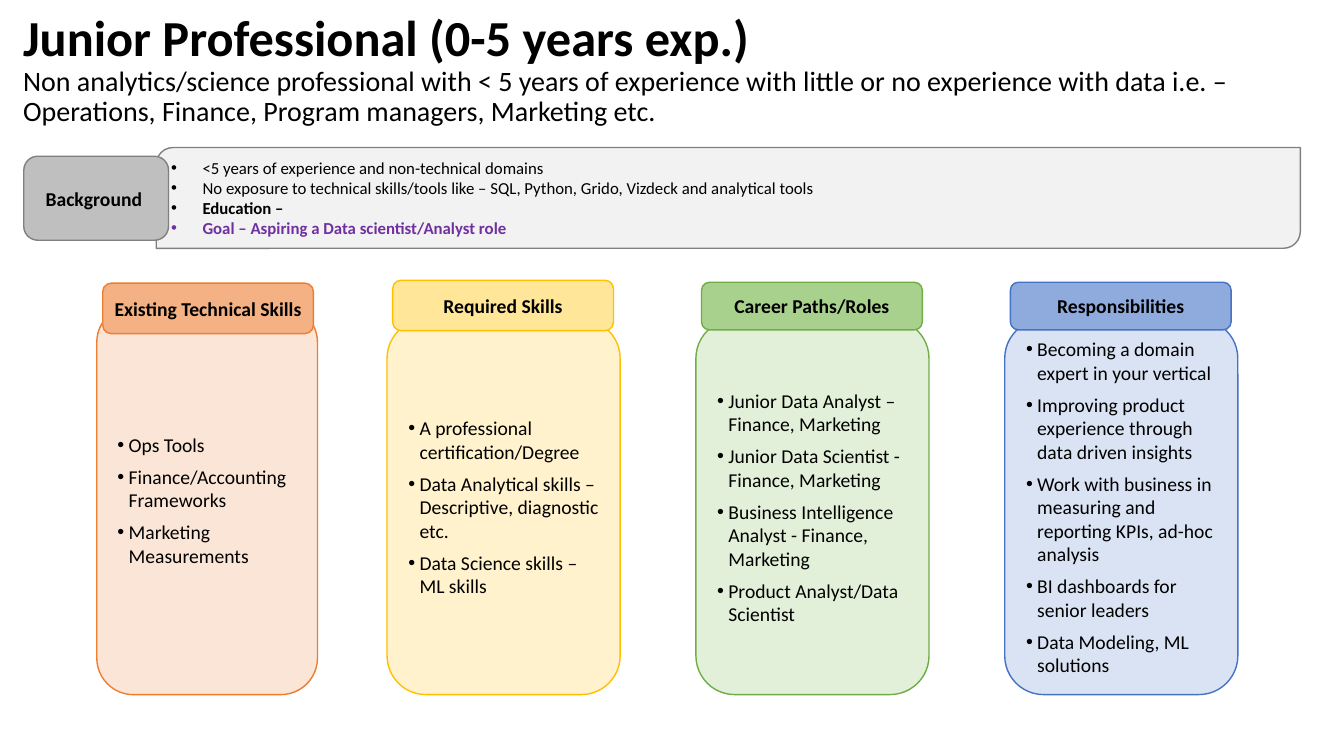
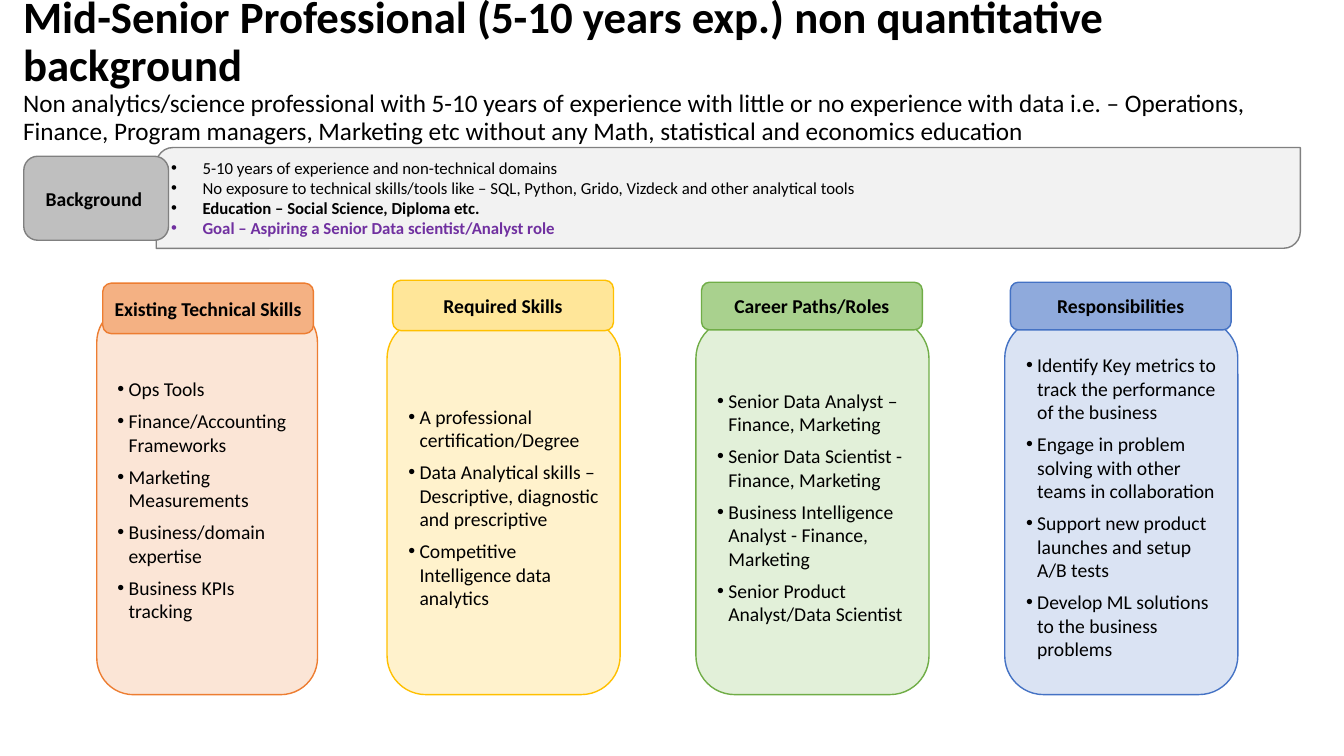
"""Build two career-profile slides: a background band above four skill columns."""
from dataclasses import dataclass
from typing import NamedTuple

from lxml import etree
from pptx import Presentation
from pptx.dml.color import RGBColor
from pptx.enum import shapes, text
from pptx.oxml.ns import qn
from pptx.util import Pt

FONT = "Calibri"
COLORS = {
    "text": "000000", "goal": "7030A0",
    "band": "F2F2F2", "badge": "BFBFBF", "gray": "808080",
    "orange_body": "FBE5D6", "orange_head": "F4B183", "orange": "ED7D31",
    "yellow_body": "FFF2CC", "yellow_head": "FFE699", "yellow": "FFC000",
    "green_body": "E2F0D9", "green_head": "A9D18E", "green": "70AD47",
    "blue_body": "DAE3F3", "blue_head": "8FAADC", "blue": "4472C4",
}


class Box(NamedTuple):
    left: float
    top: float
    width: float
    height: float


@dataclass(frozen=True)
class Column:
    heading: str
    color: str
    body: Box
    head: Box


@dataclass(frozen=True)
class Profile:
    title: str
    title_size: int
    summary: str
    summary_size: int
    background: list[str]
    columns: list[list[str]]


SLIDE_W, SLIDE_H = 960, 540
TITLE = Box(9.4, 8.6, 940.3, 82.8)
BAND = Box(111.6, 105.4, 817.2, 72)
BADGE = Box(17, 111.6, 103.4, 60)
BODY_LEFT, BODY_STEP = 276.5, 220.6


def wide_column(i: int, heading: str, color: str, head_top: float, head_h: float) -> Column:
    """Place the i-th of the equally spaced wide columns."""
    left = BODY_LEFT + i * BODY_STEP
    return Column(heading, color, Box(left, 228.2, 166.5, 268), Box(left + 4, head_top, 157.7, head_h))


COLUMNS = [
    Column("Existing Technical Skills", "orange",
           Box(69.1, 218.2, 157.7, 278), Box(73.4, 202.3, 150.5, 36)),
    wide_column(0, "Required Skills", "yellow", 200.2, 36),
    wide_column(1, "Career Paths/Roles", "green", 201.6, 34),
    wide_column(2, "Responsibilities", "blue", 201.6, 34),
]

PROFILES = [
    Profile(
        "Junior Professional (0-5 years exp.)", 36,
        "Non analytics/science professional with < 5 years of experience with little or no "
        "experience with data i.e. – Operations, Finance, Program managers, Marketing etc.", 20,
        ["<5 years of experience and non-technical domains",
         "No exposure to technical skills/tools like – SQL, Python, Grido, Vizdeck and analytical tools",
         "Education –",
         "Goal – Aspiring a Data scientist/Analyst role"],
        [["Ops Tools", "Finance/Accounting Frameworks", "Marketing Measurements"],
         ["A professional certification/Degree",
          "Data Analytical skills – Descriptive, diagnostic etc.",
          "Data Science skills – ML skills"],
         ["Junior Data Analyst – Finance, Marketing",
          "Junior Data Scientist - Finance, Marketing",
          "Business Intelligence Analyst - Finance, Marketing",
          "Product Analyst/Data Scientist"],
         ["Becoming a domain expert in your vertical",
          "Improving product experience through data driven insights",
          "Work with business in measuring and reporting KPIs, ad-hoc analysis",
          "BI dashboards for senior leaders",
          "Data Modeling, ML solutions"]],
    ),
    Profile(
        "Mid-Senior Professional (5-10 years exp.) non quantitative background", 32,
        "Non analytics/science professional with 5-10 years of experience with little or no "
        "experience with data i.e. – Operations, Finance, Program managers, Marketing etc "
        "without any Math, statistical and economics education", 18,
        ["5-10 years of experience and non-technical domains",
         "No exposure to technical skills/tools like – SQL, Python, Grido, Vizdeck and other analytical tools",
         "Education – Social Science, Diploma etc.",
         "Goal – Aspiring a Senior Data scientist/Analyst role"],
        [["Ops Tools", "Finance/Accounting Frameworks", "Marketing Measurements",
          "Business/domain expertise", "Business KPIs tracking"],
         ["A professional certification/Degree",
          "Data Analytical skills – Descriptive, diagnostic and prescriptive",
          "Competitive Intelligence data analytics"],
         ["Senior Data Analyst – Finance, Marketing",
          "Senior Data Scientist - Finance, Marketing",
          "Business Intelligence Analyst - Finance, Marketing",
          "Senior Product Analyst/Data Scientist"],
         ["Identify Key metrics to track the performance of the business",
          "Engage in problem solving with other teams in collaboration",
          "Support new product launches and setup A/B tests",
          "Develop ML solutions to the business problems"]],
    ),
]


def rgb(name: str) -> RGBColor:
    """Look up a named colour."""
    return RGBColor.from_string(COLORS[name])


def style_run(r, size: float, bold: bool = False, color: str = "text") -> None:
    """Set the font of a run."""
    r.font.name = FONT
    r.font.size = Pt(size)
    r.font.bold = bold
    r.font.color.rgb = rgb(color)


def add_box(slide, box: Box, fill: str, line: str,
            kind=shapes.MSO_SHAPE.ROUNDED_RECTANGLE):
    """Draw a filled, outlined shape with vertically centred text."""
    sp = slide.shapes.add_shape(kind, *map(Pt, box))
    sp.shadow.inherit = False
    sp.fill.solid()
    sp.fill.fore_color.rgb = rgb(fill)
    sp.line.color.rgb = rgb(line)
    sp.line.width = Pt(1)
    sp.text_frame.word_wrap = True
    sp.text_frame.vertical_anchor = text.MSO_ANCHOR.MIDDLE
    return sp


def add_label(slide, box: Box, label: str, fill: str, line: str) -> None:
    """Draw a box with a bold centred label."""
    tf = add_box(slide, box, fill, line).text_frame
    tf.margin_left = tf.margin_top = tf.margin_right = tf.margin_bottom = 0
    tf.text = label
    p = tf.paragraphs[0]
    p.alignment = text.PP_ALIGN.CENTER
    style_run(p.runs[0], 14, bold=True)


def fill_bullets(tf, items: list[str], size: float, indent: float, after: float = 0) -> None:
    """Write the items as left-aligned bullets with a hanging indent."""
    tf.text = "\n".join(items)
    for p in tf.paragraphs:
        p.alignment = text.PP_ALIGN.LEFT
        p.space_after = Pt(after)
        pPr = p._p.get_or_add_pPr()
        pPr.set("marL", str(Pt(indent)))
        pPr.set("indent", str(-Pt(indent)))
        etree.SubElement(pPr, qn("a:buFont")).set("typeface", "Arial")
        etree.SubElement(pPr, qn("a:buChar")).set("char", "•")
        style_run(p.runs[0], size)


def add_title(slide, profile: Profile) -> None:
    """Write the bold title with its summary below."""
    tf = slide.shapes.add_textbox(*map(Pt, TITLE)).text_frame
    tf.word_wrap = True
    tf.vertical_anchor = text.MSO_ANCHOR.MIDDLE
    p = tf.paragraphs[0]
    p.text = f"{profile.title}\v{profile.summary}"
    p.line_spacing = 0.9
    title, summary = p.runs
    style_run(title, profile.title_size, bold=True)
    style_run(summary, profile.summary_size)


def add_background(slide, items: list[str]) -> None:
    """Draw the background band and its badge."""
    sp = add_box(slide, BAND, "band", "gray", shapes.MSO_SHAPE.ROUND_2_DIAG_RECTANGLE)
    fill_bullets(sp.text_frame, items, 12, 22.5)
    education, goal = sp.text_frame.paragraphs[-2:]
    style_run(education.runs[0], 12, bold=True)
    style_run(goal.runs[0], 12, bold=True, color="goal")
    add_label(slide, BADGE, "Background ", "badge", "gray")


def add_column(slide, column: Column, items: list[str]) -> None:
    """Draw a column body with its heading on top."""
    sp = add_box(slide, column.body, f"{column.color}_body", column.color)
    fill_bullets(sp.text_frame, items, 14, 8, after=6)
    add_label(slide, column.head, column.heading, f"{column.color}_head", column.color)


def main() -> None:
    """Build and save the presentation."""
    prs = Presentation()
    prs.slide_width, prs.slide_height = Pt(SLIDE_W), Pt(SLIDE_H)
    for profile in PROFILES:
        s = prs.slides.add_slide(prs.slide_layouts[6])
        add_background(s, profile.background)
        add_title(s, profile)
        for column, items in zip(COLUMNS, profile.columns):
            add_column(s, column, items)
    prs.save("out.pptx")


if __name__ == "__main__":
    main()
